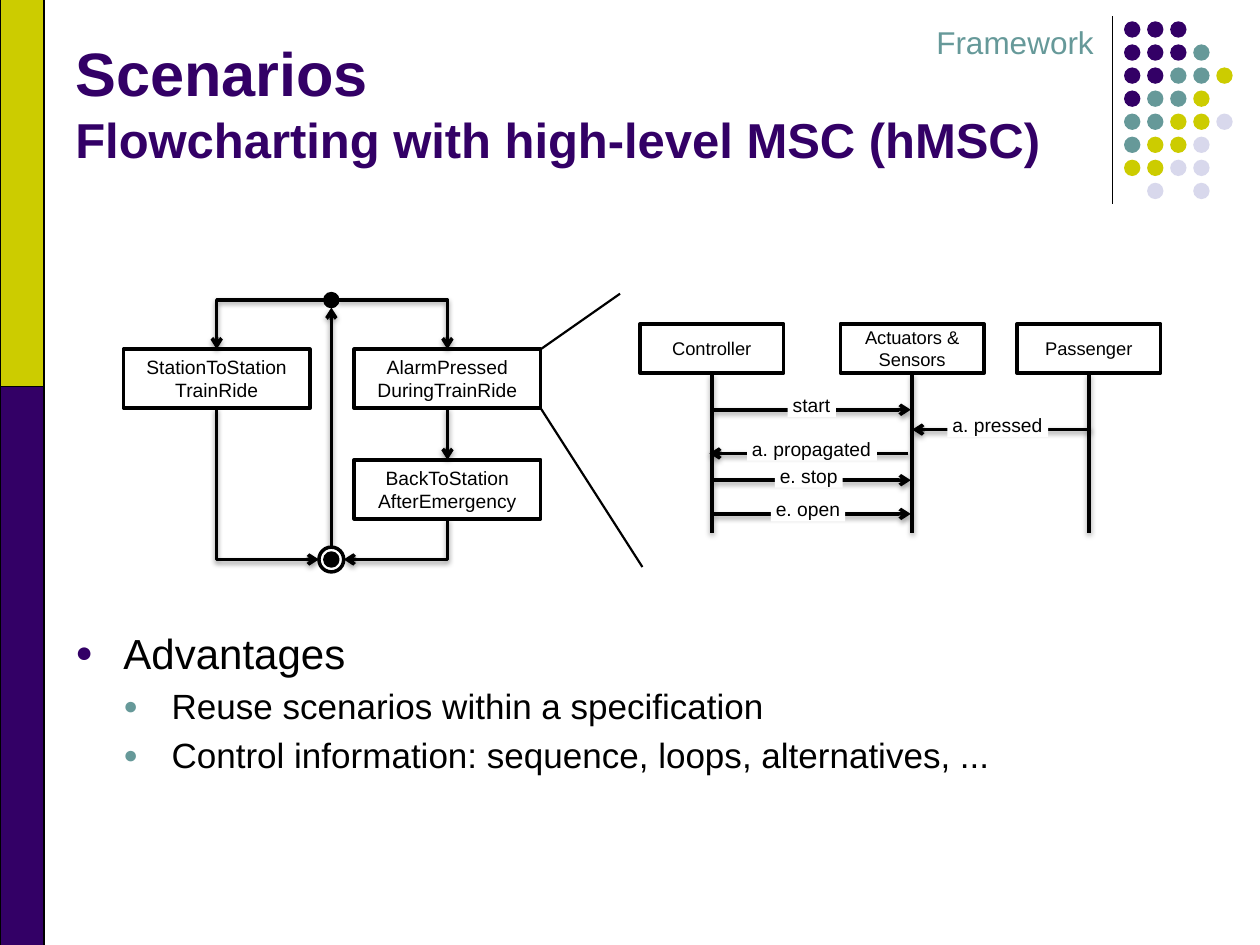
"""Build the slide on scenarios and flowcharting with high-level MSC."""
from lxml import etree
from pptx import Presentation
from pptx.dml.color import RGBColor
from pptx.enum.shapes import MSO_CONNECTOR, MSO_SHAPE
from pptx.enum.text import MSO_ANCHOR, MSO_AUTO_SIZE, PP_ALIGN
from pptx.oxml.ns import qn
from pptx.util import Cm, Pt

RECT, OVAL = MSO_SHAPE.RECTANGLE, MSO_SHAPE.OVAL
STRAIGHT, ELBOW = MSO_CONNECTOR.STRAIGHT, MSO_CONNECTOR.ELBOW
MIDDLE, BOTTOM = MSO_ANCHOR.MIDDLE, MSO_ANCHOR.BOTTOM
CENTER, RIGHT, LEFT = PP_ALIGN.CENTER, PP_ALIGN.RIGHT, PP_ALIGN.LEFT
FIT = MSO_AUTO_SIZE.SHAPE_TO_FIT_TEXT

BLACK = RGBColor(0x00, 0x00, 0x00)
WHITE = RGBColor(0xFF, 0xFF, 0xFF)
PURPLE = RGBColor(0x33, 0x00, 0x66)
TEAL = RGBColor(0x66, 0x99, 0x99)
YELLOW = RGBColor(0xCC, 0xCC, 0x00)
LILAC = RGBColor(0xD8, 0xD8, 0xEC)


def write(p, text, size=11, color=BLACK, bold=False, align=LEFT):
    p.alignment = align
    for i, line in enumerate(text.split("\n")):
        if i:
            p.add_line_break()
        if line:
            r = p.add_run()
            r.text = line
            r.font.name = "Arial"
            r.font.size = Pt(size)
            r.font.bold = bold
            r.font.color.rgb = color


def add_line(x1, y1, x2, y2, width=2, kind=STRAIGHT, arrow=None, shadow=True):
    c = s.shapes.add_connector(kind, Cm(x1), Cm(y1), Cm(x2), Cm(y2))
    c.line.color.rgb = BLACK
    c.line.width = Pt(width)
    spPr = c._element.spPr
    if kind == ELBOW:
        spPr.find(qn("a:prstGeom")).set("prst", "bentConnector2")
    if arrow:
        etree.SubElement(spPr.find(qn("a:ln")), qn(arrow), type="arrow")
    effects = etree.SubElement(spPr, qn("a:effectLst"))
    if shadow:
        outer = etree.SubElement(effects, qn("a:outerShdw"), blurRad=str(Pt(3.1)),
                                 dist=str(Pt(1.6)), dir="5400000", rotWithShape="0")
        clr = etree.SubElement(outer, qn("a:srgbClr"), val=str(BLACK))
        etree.SubElement(clr, qn("a:alpha"), val="38000")


prs = Presentation()
prs.slide_width, prs.slide_height = Cm(25.4), Cm(19.05)
s = prs.slides.add_slide(prs.slide_layouts[6])

add_line(22.43, 0.33, 22.43, 4.11, width=0.75, shadow=False)
DOTS = ["PPP", "PPPT", "PPTTY", "PTTY", "TTYYL", "TYYL", "YYLL", " L L"]
DOT_COLORS = {"P": PURPLE, "T": TEAL, "Y": YELLOW, "L": LILAC}
for row, codes in enumerate(DOTS):
    for col, code in enumerate(codes):
        if code in DOT_COLORS:
            sp = s.shapes.add_shape(OVAL, Cm(22.66 + 0.465 * col),
                                    Cm(0.43 + 0.465 * row), Cm(0.33), Cm(0.33))
            sp.shadow.inherit = False
            sp.fill.solid()
            sp.fill.fore_color.rgb = DOT_COLORS[code]
            sp.line.fill.background()

for height, color in [(19.1, PURPLE), (7.82, YELLOW)]:
    sp = s.shapes.add_shape(RECT, 0, Cm(-0.03), Cm(0.89), Cm(height))
    sp.shadow.inherit = False
    sp.fill.solid()
    sp.fill.fore_color.rgb = color
    sp.line.color.rgb = BLACK
    sp.line.width = Pt(0.75)

tf = s.shapes.add_textbox(Cm(1.27), Cm(0.33), Cm(20.96), Cm(3.18)).text_frame
tf.word_wrap = True
tf.vertical_anchor = BOTTOM
p = tf.paragraphs[0]
write(p, "Scenarios\n", size=35, color=PURPLE, bold=True)
write(p, "Flowcharting with high-level MSC (hMSC)", size=28, color=PURPLE, bold=True)

tf = s.shapes.add_textbox(Cm(1.27), Cm(12.52), Cm(23.62), Cm(3.81)).text_frame
tf.word_wrap = True
BULLETS = [
    (0, "Advantages", 24, PURPLE),
    (1, "Reuse scenarios within a specification", 20, TEAL),
    (1, "Control information: sequence, loops, alternatives, ...", 20, TEAL),
]
for i, (level, text, size, color) in enumerate(BULLETS):
    p = tf.add_paragraph() if i else tf.paragraphs[0]
    p.level = level
    p.space_before = Pt(0.2 * size)
    write(p, text, size=size)
    pPr = p._p.get_or_add_pPr()
    pPr.set("marL", str(Cm(0.97 * (level + 1))))
    pPr.set("indent", str(Cm(-0.97)))
    clr = etree.SubElement(pPr, qn("a:buClr"))
    etree.SubElement(clr, qn("a:srgbClr"), val=str(color))
    etree.SubElement(pPr, qn("a:buSzPct"), val="70000")
    etree.SubElement(pPr, qn("a:buFont"), typeface="Arial")
    etree.SubElement(pPr, qn("a:buChar"), char="●")

BOXES = [
    ("Controller", 12.9, 6.53, 2.9, 0.99, 10.5),
    ("Actuators & Sensors", 16.94, 6.53, 2.9, 0.99, 10.5),
    ("Passenger", 20.5, 6.53, 2.9, 0.99, 10.5),
    ("StationToStation\nTrainRide", 2.49, 7.04, 3.76, 1.19, 11),
    ("AlarmPressed\nDuringTrainRide", 7.14, 7.04, 3.76, 1.19, 11),
    ("BackToStation\nAfterEmergency", 7.14, 9.27, 3.76, 1.19, 11),
]
for text, x, y, w, h, size in BOXES:
    sp = s.shapes.add_shape(RECT, Cm(x), Cm(y), Cm(w), Cm(h))
    sp.shadow.inherit = False
    sp.fill.solid()
    sp.fill.fore_color.rgb = WHITE
    sp.line.color.rgb = BLACK
    sp.line.width = Pt(2)
    tf = sp.text_frame
    tf.word_wrap = True
    tf.vertical_anchor = MIDDLE
    write(tf.paragraphs[0], text, size=size, align=CENTER)

for x in (14.35, 18.39, 21.95):
    add_line(x, 7.54, x, 10.74)

MESSAGES = [
    ("start", 14.38, 18.36, 8.26, 15.88, 0.97),
    ("a. pressed", 22, 18.39, 8.66, 19.1, 2.03),
    ("a. propagated", 18.31, 14.3, 9.14, 15.06, 2.62),
    ("e. stop", 14.38, 18.36, 9.68, 15.62, 1.37),
    ("e. open", 14.38, 18.36, 10.36, 15.54, 1.5),
]
for text, x1, x2, y, left, width in MESSAGES:
    add_line(x1, y, x2, y, arrow="a:tailEnd")
    sp = s.shapes.add_textbox(Cm(left), Cm(y - 0.33), Cm(width), Cm(0.48))
    sp.fill.solid()
    sp.fill.fore_color.rgb = WHITE
    tf = sp.text_frame
    tf.word_wrap = False
    tf.auto_size = FIT
    tf.margin_left = tf.margin_right = Cm(0.1)
    tf.margin_top = tf.margin_bottom = 0
    write(tf.paragraphs[0], text)

add_line(6.81, 6.05, 9.02, 7.04, kind=ELBOW, arrow="a:tailEnd")
add_line(6.55, 6.05, 4.37, 7.04, kind=ELBOW, arrow="a:tailEnd")
add_line(6.43, 11.28, 4.37, 8.23, kind=ELBOW, arrow="a:headEnd")
add_line(6.93, 11.28, 9.02, 10.46, kind=ELBOW, arrow="a:headEnd")
add_line(9.02, 8.23, 9.02, 9.27, arrow="a:tailEnd")
add_line(6.68, 11.02, 6.68, 6.2, arrow="a:tailEnd")

for y, d, color in [(6.05, 0.26, BLACK), (11.28, 0.5, WHITE), (11.28, 0.26, BLACK)]:
    sp = s.shapes.add_shape(OVAL, Cm(6.68 - d / 2), Cm(y - d / 2), Cm(d), Cm(d))
    sp.shadow.inherit = False
    sp.fill.solid()
    sp.fill.fore_color.rgb = color
    sp.line.color.rgb = BLACK
    sp.line.width = Pt(2)

add_line(10.9, 8.23, 12.95, 11.43, width=1.25, shadow=False)
add_line(10.9, 7.04, 12.5, 5.92, width=1.25, shadow=False)

tf = s.shapes.add_textbox(Cm(11.91), Cm(0.33), Cm(10.39), Cm(1.02)).text_frame
tf.word_wrap = True
tf.auto_size = FIT
write(tf.paragraphs[0], "Framework", size=18, color=TEAL, align=RIGHT)

prs.save("out.pptx")
